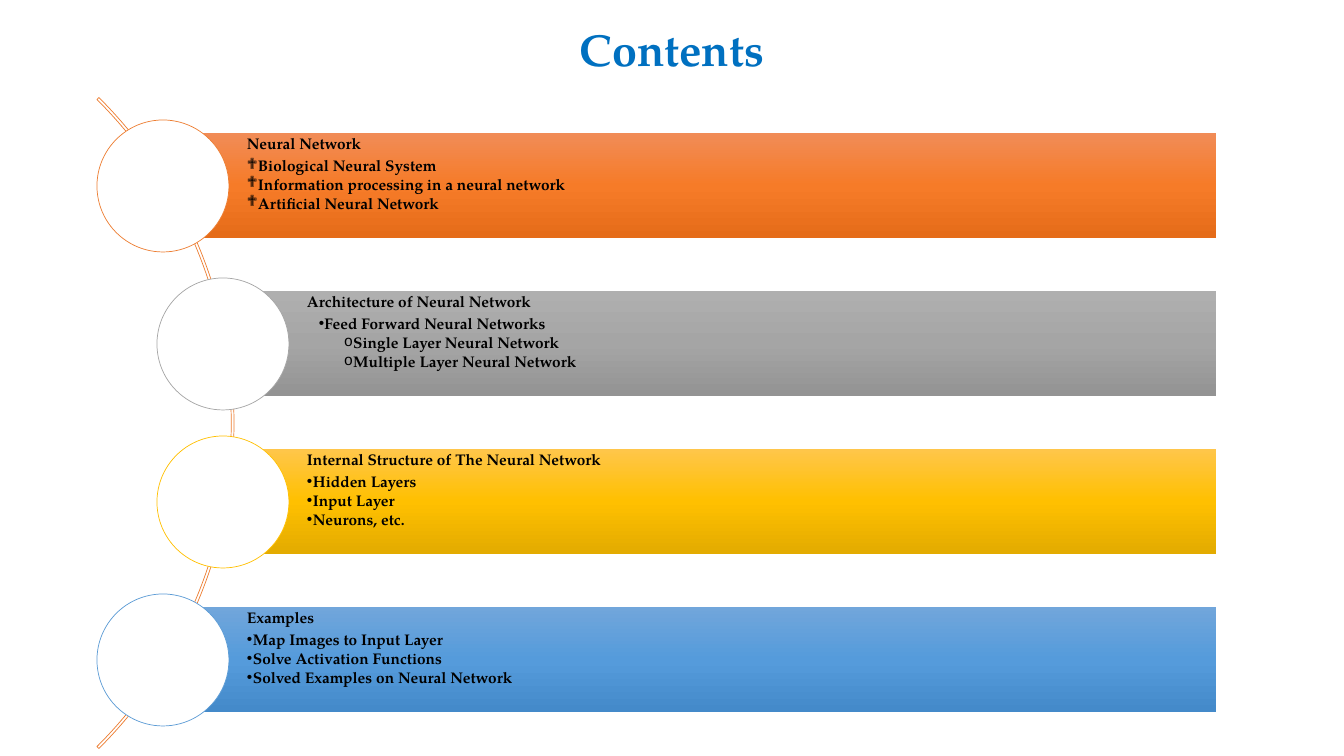
from copy import deepcopy
from dataclasses import dataclass

from lxml import etree
from pptx import Presentation
from pptx import util as u
from pptx.dml import color
from pptx.enum import shapes, text
from pptx.oxml import ns

PX = 12192000 / 1344


@dataclass(frozen=True)
class Theme:
    font: str = "TeX Gyre Pagella"
    title: str = "0070C0"
    ink: str = "000000"
    paper: str = "FFFFFF"
    orange: str = "ED7D31"
    gray: str = "A5A5A5"
    gold: str = "FFC000"
    blue: str = "5B9BD5"
    title_size: float = 32
    body_size: float = 11
    line_width: float = 0.5
    line_spacing: float = 0.9
    heading_after: float = 3.85
    item_after: float = 1.65


def px(n):
    return u.Emu(round(n * PX))


def rgb(value):
    return color.RGBColor.from_string(value)


def apply(target, formats):
    for name, value in formats.items():
        setattr(target, name, value)


class Deck:
    def __init__(self, theme):
        self.theme = theme
        self.prs = Presentation()
        apply(self.prs, {"slide_width": px(1344), "slide_height": px(756)})
        self.s = self.prs.slides.add_slide(self.prs.slide_layouts[6])

    def shape(self, kind, box, line=None, fill=None):
        sp = self.s.shapes.add_shape(kind, *map(px, box))
        sp.shadow.inherit = False
        if fill:
            sp.fill.solid()
            sp.fill.fore_color.rgb = rgb(fill)
        else:
            sp.fill.background()
        if line:
            sp.line.color.rgb = rgb(line)
            sp.line.width = u.Pt(self.theme.line_width)
        else:
            sp.line.fill.background()
        return sp

    def arc(self, box, line, adjustments):
        sp = self.shape(shapes.MSO_SHAPE.BLOCK_ARC, box, line)
        for i, value in enumerate(adjustments):
            sp.adjustments[i] = value

    def circle(self, box, line):
        self.shape(shapes.MSO_SHAPE.OVAL, box, line, self.theme.paper)

    def bar(self, box, shades):
        sp = self.shape(shapes.MSO_SHAPE.RECTANGLE, box)
        sp.fill.gradient()
        sp.fill.gradient_angle = 270
        stops = sp._element.spPr.find(ns.qn("a:gradFill")).find(ns.qn("a:gsLst"))
        stops.append(deepcopy(stops[0]))
        for i, (stop, shade) in enumerate(zip(sp.fill.gradient_stops, shades)):
            stop.color.rgb = rgb(shade)
            stop.position = i / 2
        return sp

    def paragraph(self, p, words, size, ink, align, after=0):
        apply(p, {"alignment": align, "line_spacing": self.theme.line_spacing,
                  "space_after": u.Pt(after)})
        r = p.add_run()
        r.text = words
        apply(r.font, {"name": self.theme.font, "size": u.Pt(size), "bold": True})
        r.font.color.rgb = rgb(ink)

    def title(self, box, words):
        tf = self.s.shapes.add_textbox(*map(px, box)).text_frame
        apply(tf, {"word_wrap": True, "vertical_anchor": text.MSO_ANCHOR.MIDDLE})
        self.paragraph(tf.paragraphs[0], words, self.theme.title_size,
                       self.theme.title, text.PP_ALIGN.CENTER)

    def outline(self, sp, heading, items):
        t = self.theme
        tf = sp.text_frame
        apply(tf, {"word_wrap": True, "vertical_anchor": text.MSO_ANCHOR.TOP,
                   "margin_left": px(84), "margin_top": px(3),
                   "margin_right": px(3), "margin_bottom": px(3)})
        self.paragraph(tf.paragraphs[0], heading, t.body_size, t.ink,
                       text.PP_ALIGN.LEFT, t.heading_after)
        for words, (mark, face, left, hang) in items:
            p = tf.add_paragraph()
            p.level = 1
            self.paragraph(p, words, t.body_size, t.ink, text.PP_ALIGN.LEFT, t.item_after)
            pPr = p._p.get_or_add_pPr()
            pPr.set("marL", str(px(left)))
            pPr.set("indent", str(px(hang)))
            etree.SubElement(pPr, ns.qn("a:buFont")).set("typeface", face)
            etree.SubElement(pPr, ns.qn("a:buChar")).set("char", mark)


DIAMOND = ("❖", "Wingdings", 0, 0)
DOT = ("•", "Arial", 6, -6)
BRANCH = ("•", "Arial", 12, 0)
LEAF = ("o", "Courier New", 37, 0)


def main():
    t = Theme()
    deck = Deck(t)
    sections = [
        (97, t.orange, ("F18C57", "F67B28", "E56C19"), "Neural Network",
         [("Biological Neural System", DIAMOND),
          ("Information processing in a neural network", DIAMOND),
          ("Artificial Neural Network", DIAMOND)]),
        (157, t.gray, ("AFAFAF", "A5A5A5", "939393"), "Architecture of Neural Network",
         [("Feed Forward Neural Networks", BRANCH),
          ("Single Layer Neural Network", LEAF),
          ("Multiple Layer Neural Network", LEAF)]),
        (157, t.gold, ("FFC64B", "FFC000", "E3AB00"), "Internal Structure of The Neural Network",
         [("Hidden Layers", DOT), ("Input Layer", DOT), ("Neurons, etc.", DOT)]),
        (97, t.blue, ("71A6DB", "559BDB", "448ACA"), "Examples",
         [("Map Images to Input Layer", DOT),
          ("Solve Activation Functions", DOT),
          ("Solved Examples on Neural Network", DOT)]),
    ]
    top, pitch, diameter, bar_height, right = 120, 158, 132, 105, 1216

    deck.title((180, 23, 984, 58), "Contents")
    deck.arc((-687, -37, 921, 920), t.orange, (189, 27, 0.003))
    for i, (left, line, shades, heading, items) in enumerate(sections):
        y = top + i * pitch
        bar_left = left + diameter // 2
        sp = deck.bar((bar_left, y + 13, right - bar_left, bar_height), shades)
        deck.outline(sp, heading, items)
        deck.circle((left, y, diameter, diameter), line)
    deck.prs.save("out.pptx")


if __name__ == "__main__":
    main()
